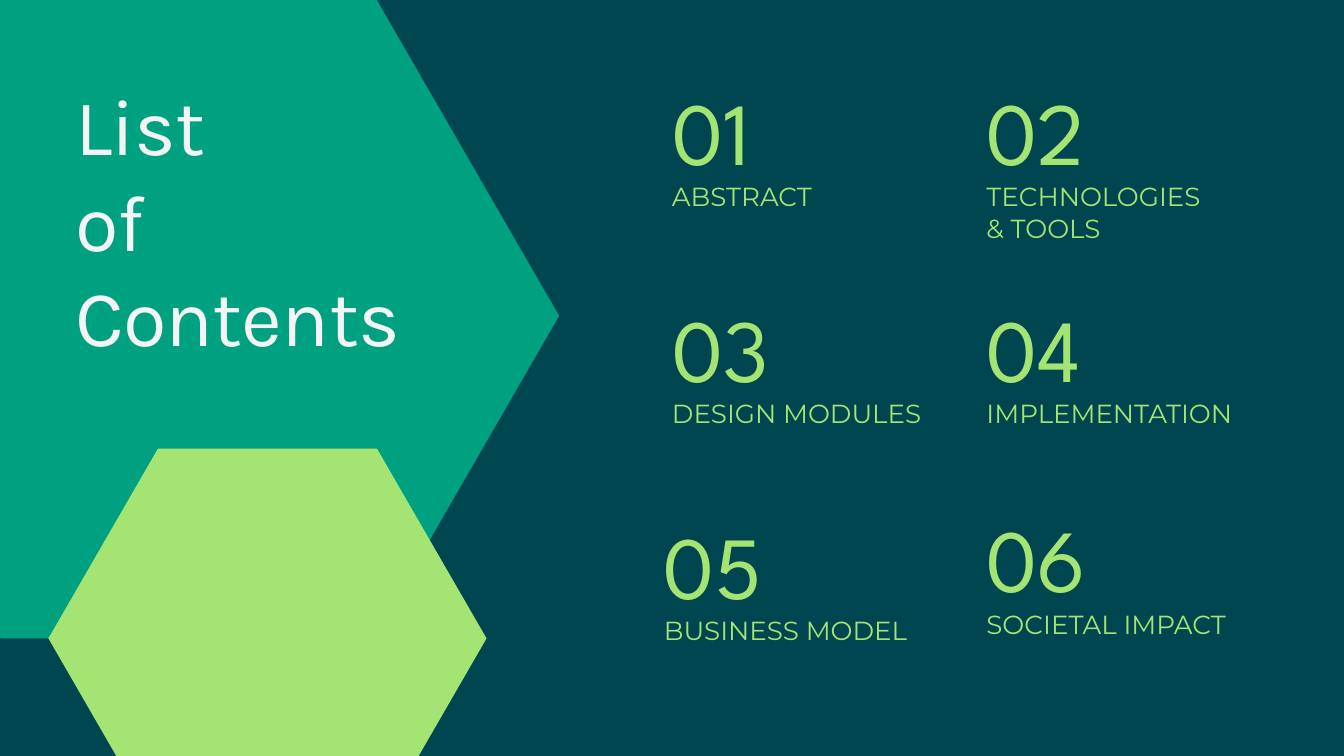
import math

from pptx import Presentation
from pptx.dml.color import RGBColor
from pptx.enum import text
from pptx.util import Inches, Pt

NAVY = RGBColor(0x00, 0x46, 0x51)
TEAL = RGBColor(0x00, 0xA1, 0x81)
LIME = RGBColor(0xA4, 0xE4, 0x73)
WHITE = RGBColor(0xF4, 0xF4, 0xF4)

CONTENTS = [
    ("01", "ABSTRACT", 10, 1.14),
    ("02", "TECHNOLOGIES\n& TOOLS", 14.68, 1.14),
    ("03", "DESIGN MODULES", 10, 4.37),
    ("04", "IMPLEMENTATION", 14.68, 4.37),
    ("05", "BUSINESS MODEL", 9.88, 7.6),
    ("06", "SOCIETAL IMPACT", 14.68, 7.5),
]


def add_hexagon(slide, center_x, center_y, radius, color):
    corners = [
        (
            Inches(center_x + radius * math.cos(math.radians(angle))),
            Inches(center_y + radius * math.sin(math.radians(angle))),
        )
        for angle in range(0, 360, 60)
    ]
    builder = slide.shapes.build_freeform(*corners[0])
    builder.add_line_segments(corners[1:], close=True)
    shape = builder.convert_to_shape()
    shape.shadow.inherit = False
    shape.fill.solid()
    shape.fill.fore_color.rgb = color
    shape.line.fill.background()


def place(shape, left, top, width, height):
    shape.left, shape.top = Inches(left), Inches(top)
    shape.width, shape.height = Inches(width), Inches(height)


def write(shape, content, font_name, size, line_spacing, color):
    frame = shape.text_frame
    frame.text = content
    frame.word_wrap = True
    frame.auto_size = text.MSO_AUTO_SIZE.NONE
    frame.vertical_anchor = text.MSO_ANCHOR.TOP
    frame.margin_left = frame.margin_right = 0
    frame.margin_top = frame.margin_bottom = 0
    for paragraph in frame.paragraphs:
        paragraph.alignment = text.PP_ALIGN.LEFT
        paragraph.line_spacing = Pt(line_spacing)
        paragraph.space_before = Pt(0)
        paragraph.font.name = font_name
        paragraph.font.size = Pt(size)
        paragraph.font.color.rgb = color


def add_title(slide):
    title = slide.shapes.title
    place(title, 1.12, 1.14, 4.88, 4.22)
    write(title, "List\nof\nContents", "Karla", 85, 102, WHITE)
    for paragraph in title.text_frame.paragraphs:
        paragraph.font._element.set("spc", "-80")
    slide.shapes._spTree.append(title._element)


def add_text(slide, content, box, font_name, size, line_spacing):
    shape = slide.shapes.add_textbox(*map(Inches, box))
    write(shape, content, font_name, size, line_spacing, LIME)


def add_entry(slide, number, label, left, top):
    label_height = 0.45 * (label.count("\n") + 1)
    add_text(slide, label, (left, top + 1.55, 4.26, label_height), "Montserrat", 28, 33.6)
    add_text(slide, number, (left, top, 2.98, 1.57), "League Spartan", 95, 114)


def main():
    presentation = Presentation()
    presentation.slide_width = Inches(20)
    presentation.slide_height = Inches(11.25)
    slide = presentation.slides.add_slide(presentation.slide_layouts.get_by_name("Title Only"))
    slide.background.fill.solid()
    slide.background.fill.fore_color.rgb = NAVY
    add_hexagon(slide, 2.78, 4.7, 5.54, TEAL)
    add_hexagon(slide, 3.98, 9.5, 3.26, LIME)
    add_title(slide)
    for entry in CONTENTS:
        add_entry(slide, *entry)
    presentation.save("out.pptx")


if __name__ == "__main__":
    main()
